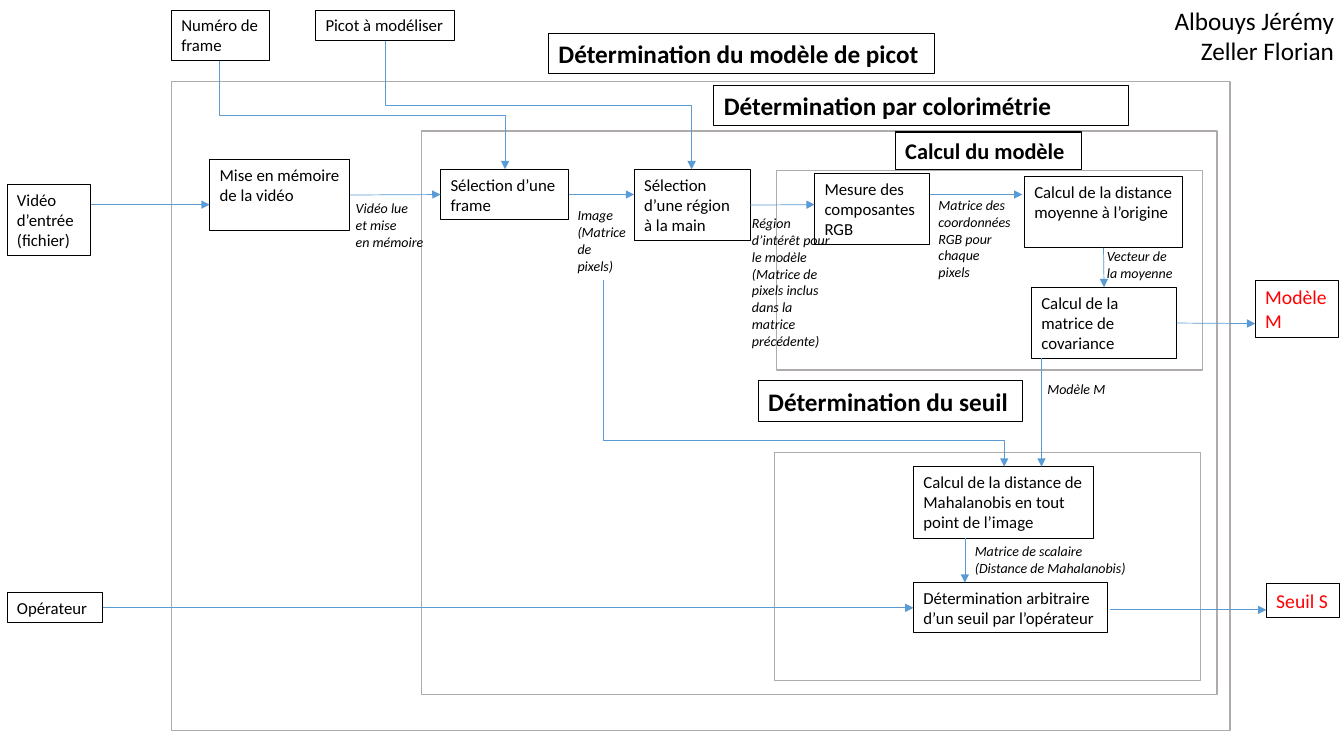
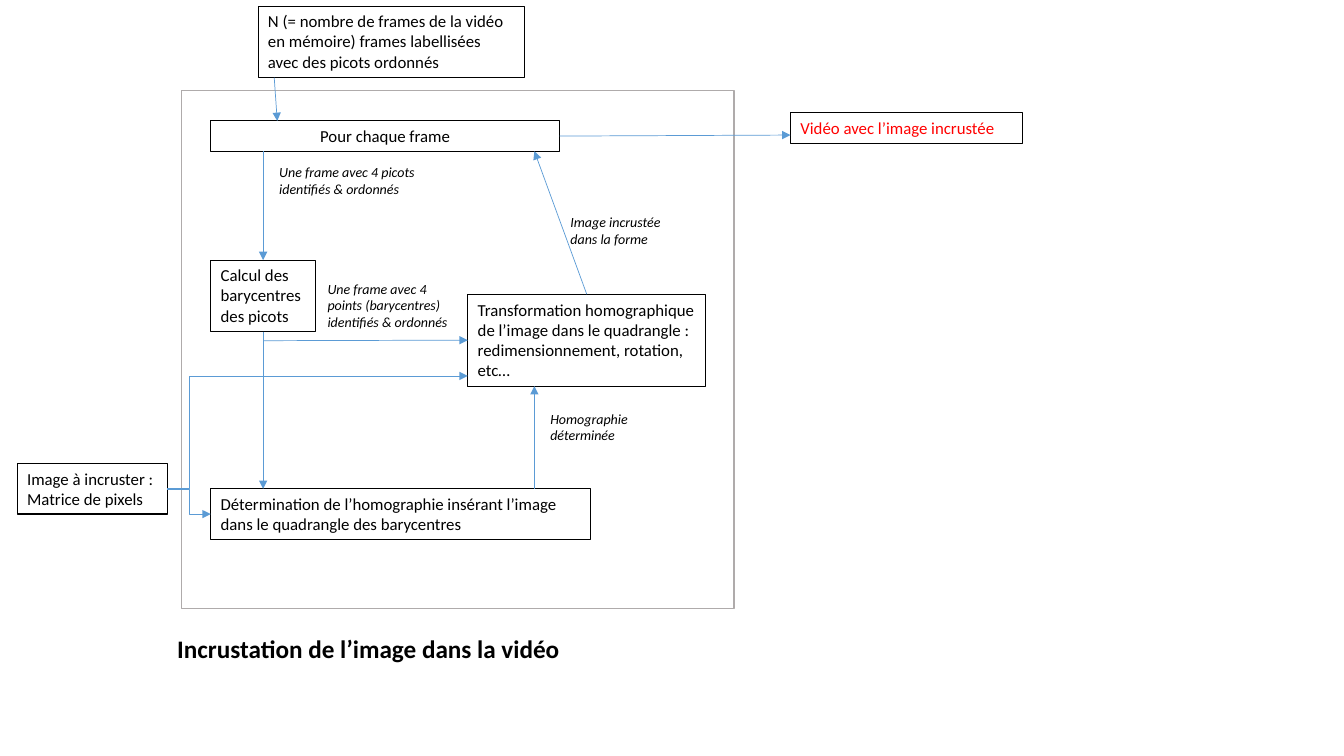
from collections import namedtuple
from dataclasses import dataclass
from typing import Any

from lxml.etree import SubElement
from pptx import Presentation
from pptx.dml.color import RGBColor
from pptx.enum.shapes import MSO_CONNECTOR, MSO_SHAPE
from pptx.enum.text import PP_ALIGN
from pptx.oxml.ns import qn
from pptx.util import Pt

PX = 9144
PAGE_WIDTH, PAGE_HEIGHT = 1333, 750
FONT = "Calibri"
BLACK = RGBColor(0, 0, 0)
WHITE = RGBColor(255, 255, 255)
RED = RGBColor(255, 0, 0)
GREY = RGBColor(0xAF, 0xAB, 0xAB)
BLUE = RGBColor(0x5B, 0x9B, 0xD5)
TOP, LEFT, BOTTOM, RIGHT = range(4)

Joint = namedtuple("Joint", "box side")


@dataclass
class Area:
    page: Any
    left: int
    top: int
    width: int
    height: int

    def inner(self, x, y, width, height):
        return Area(self.page, self.left + x, self.top + y, width, height)

    def point(self, x, y):
        return (self.left + x) * PX, (self.top + y) * PX


def add_frame(area):
    frame = area.page.shapes.add_shape(
        MSO_SHAPE.RECTANGLE, *area.point(0, 0), area.width * PX, area.height * PX)
    frame.shadow.inherit = False
    frame.fill.solid()
    frame.fill.fore_color.rgb = WHITE
    frame.line.color.rgb = GREY
    frame.line.width = Pt(1)


def add_text(area, text, x, y, width, height, size=12, color=BLACK, bold=False,
             italic=False, align=PP_ALIGN.LEFT, wrap=True):
    box = area.page.shapes.add_textbox(*area.point(x, y), width * PX, height * PX)
    box.text_frame.word_wrap = wrap
    box.text_frame.text = text
    for para in box.text_frame.paragraphs:
        para.alignment = align
        for span in para.runs:
            span.font.name = FONT
            span.font.size = Pt(size)
            span.font.color.rgb = color
            span.font.bold = bold
            span.font.italic = italic
    return box


def add_step(area, text, x, y, width, height, **style):
    box = add_text(area, text, x, y, width, height, **style)
    box.line.color.rgb = BLACK
    box.line.width = Pt(0.75)
    return box


def add_title(area, text, x, y, width, height=40, size=18):
    add_step(area, text, x, y, width, height, size=size, bold=True)


def add_note(area, text, x, y, width, height, wrap=True):
    add_text(area, text, x, y, width, height, size=10, italic=True, wrap=wrap)


def style_arrow(connector):
    connector.line.color.rgb = BLUE
    connector.line.width = Pt(0.5)
    properties = connector._element.spPr
    SubElement(properties.find(qn("a:ln")), qn("a:tailEnd"), type="triangle")
    SubElement(properties, qn("a:effectLst"))


def add_arrow(area, start, end):
    points = [(0, 0) if isinstance(tip, Joint) else area.point(*tip) for tip in (start, end)]
    connector = area.page.shapes.add_connector(MSO_CONNECTOR.STRAIGHT, *points[0], *points[1])
    if isinstance(start, Joint):
        connector.begin_connect(start.box, start.side)
    if isinstance(end, Joint):
        connector.end_connect(end.box, end.side)
    style_arrow(connector)


def add_elbow(area, start, end, bend=0.5, downward=False):
    x1, y1 = area.point(*start)
    x2, y2 = area.point(*end)
    connector = area.page.shapes.add_connector(MSO_CONNECTOR.ELBOW, x1, y1, x2, y2)
    properties = connector._element.spPr
    if downward:
        run, drop = x2 - x1, y2 - y1
        connector.left = (x1 + x2 - drop) // 2
        connector.top = (y1 + y2 - run) // 2
        connector.width, connector.height = drop, run
        transform = properties.find(qn("a:xfrm"))
        transform.set("rot", str(270 * 60000))
        transform.set("flipH", "1")
    geometry = properties.find(qn("a:prstGeom"))
    guides = geometry.find(qn("a:avLst"))
    if guides is None:
        guides = SubElement(geometry, qn("a:avLst"))
    SubElement(guides, qn("a:gd"), name="adj1", fmla=f"val {round(bend * 100000)}")
    style_arrow(connector)


def draw_model_computation(area):
    add_frame(area)
    add_title(area, "Calcul du modèle", 118, -38, 185, 37, 16)
    add_step(area, "Mesure des composantes RGB", 38, 3, 114, 71)
    distance = add_step(area, "Calcul de la distance moyenne à l’origine", 246, 6, 157, 71)
    covariance = add_step(area, "Calcul de la matrice de covariance", 253, 116, 144, 71)
    add_arrow(area, (152, 24), (244, 24))
    add_arrow(area, Joint(distance, BOTTOM), Joint(covariance, TOP))
    add_note(area, "Matrice des coordonnées RGB pour chaque pixels", 151, 21, 94, 94)
    add_note(area, "Vecteur de la moyenne", 318, 72, 92, 44)
    return covariance


def draw_threshold(area):
    add_frame(area)
    add_title(area, "Détermination du seuil", -16, -71, 262)
    add_step(area, "Calcul de la distance de Mahalanobis en tout point de l’image",
             138, 14, 179, 71)
    decision = add_step(area, "Détermination arbitraire d’un seuil par l’opérateur",
                        138, 129, 193, 50)
    add_arrow(area, (189, 85), (189, 129))
    add_note(area, "Matrice de scalaire\n(Distance de Mahalanobis)", 189, 84, 171, 44)
    return decision


def draw_colorimetry(area):
    add_frame(area)
    covariance = draw_model_computation(area.inner(352, 39, 423, 198))
    decision = draw_threshold(area.inner(350, 319, 423, 226))
    add_title(area, "Détermination par colorimétrie", 290, -45, 411)
    selection = add_step(area, "Sélection d’une frame", 19, 38, 127, 50)
    region = add_step(area, "Sélection d’une région à la main", 211, 38, 115, 71)
    add_arrow(area, Joint(selection, RIGHT), (211, 63))
    add_arrow(area, Joint(region, RIGHT), (390, 73))
    add_arrow(area, (615, 225), (615, 333))
    add_elbow(area, (180, 148), (578, 333), bend=0.857, downward=True)
    add_note(area, "Image\n(Matrice de pixels)", 145, 70, 70, 77)
    add_note(area, "Région d’intérêt pour le modèle\n"
             "(Matrice de pixels inclus dans la matrice précédente)", 318, 78, 98, 162)
    add_note(area, "Modèle M", 611, 243, 80, 27)
    return selection, covariance, decision


def draw_peg_model(area):
    add_frame(area)
    selection, covariance, decision = draw_colorimetry(area.inner(248, 49, 789, 559))
    add_title(area, "Détermination du modèle de picot", 374, -48, 383)
    storage = add_step(area, "Mise en mémoire de la vidéo", 38, 77, 139, 71)
    add_arrow(area, Joint(storage, RIGHT), Joint(selection, LEFT))
    add_note(area, "Vidéo lue\net mise\nen mémoire", 173, 112, 88, 61, wrap=False)
    return covariance, decision


def draw_model_slide(area):
    covariance, decision = draw_peg_model(area.inner(170, 81, 1050, 644))
    add_step(area, "Vidéo d’entrée\n(fichier)", 7, 183, 83, 71)
    add_step(area, "Numéro de frame", 170, 10, 97, 50)
    add_step(area, "Picot à modéliser", 313, 10, 138, 30, wrap=False)
    operator = add_step(area, "Opérateur", 7, 588, 95, 30)
    add_step(area, "Modèle M", 1245, 278, 83, 57, size=14, color=RED)
    add_step(area, "Seuil S", 1256, 579, 73, 34, size=14, color=RED)
    add_arrow(area, (90, 203), (208, 203))
    add_arrow(area, Joint(operator, RIGHT), Joint(decision, LEFT))
    add_arrow(area, Joint(covariance, RIGHT), (1245, 321))
    add_arrow(area, (1101, 605), (1256, 605))
    add_elbow(area, (218, 61), (501, 168), downward=True)
    add_elbow(area, (382, 41), (686, 168), downward=True)
    add_text(area, "Albouys Jérémy\nZeller Florian", 1073, 0, 260, 71,
             size=18, align=PP_ALIGN.RIGHT)


def draw_embedding(area):
    add_frame(area)
    loop = add_step(area, "Pour chaque frame", 29, 30, 346, 30, align=PP_ALIGN.CENTER)
    centres = add_step(area, "Calcul des barycentres des picots", 29, 168, 104, 71)
    add_step(area, "Détermination de l’homographie insérant l’image "
             "dans le quadrangle des barycentres", 29, 395, 377, 50)
    transformation = add_step(
        area, "Transformation homographique de l’image dans le quadrangle : "
        "redimensionnement, rotation, etc…", 284, 202, 236, 91)
    add_arrow(area, (81, 60), Joint(centres, TOP))
    add_arrow(area, Joint(centres, BOTTOM), (81, 395))
    add_arrow(area, (81, 248), Joint(transformation, LEFT))
    add_arrow(area, (350, 395), (350, 293))
    add_arrow(area, Joint(transformation, TOP), (350, 60))
    add_note(area, "Une frame avec 4 picots identifiés & ordonnés", 87, 67, 155, 44)
    add_note(area, "Une frame avec 4 points (barycentres) identifiés & ordonnés",
             135, 183, 155, 61)
    add_note(area, "Homographie déterminée", 356, 312, 155, 44)
    add_note(area, "Image incrustée dans la forme", 376, 117, 113, 44)
    add_text(area, "Incrustation de l’image dans la vidéo", -14, 533, 607, 40,
             size=18, bold=True)
    return loop


def draw_embedding_slide(area):
    loop = draw_embedding(area.inner(180, 90, 548, 514))
    add_step(area, "N (= nombre de frames de la vidéo en mémoire) frames labellisées "
             "avec des picots ordonnés", 256, 6, 264, 71)
    add_step(area, "Image à incruster :\nMatrice de pixels", 17, 460, 149, 50)
    add_step(area, "Vidéo avec l’image incrustée", 784, 112, 230, 30, color=RED)
    add_arrow(area, (272, 77), (275, 120))
    add_arrow(area, Joint(loop, RIGHT), (784, 134))
    add_elbow(area, (166, 485), (209, 510))
    add_elbow(area, (166, 485), (464, 373), bend=0.072)


def main():
    deck = Presentation()
    deck.slide_width = PAGE_WIDTH * PX
    deck.slide_height = PAGE_HEIGHT * PX
    for draw_slide in (draw_model_slide, draw_embedding_slide):
        page = deck.slides.add_slide(deck.slide_layouts[6])
        draw_slide(Area(page, 0, 0, PAGE_WIDTH, PAGE_HEIGHT))
    deck.save("out.pptx")


if __name__ == "__main__":
    main()
